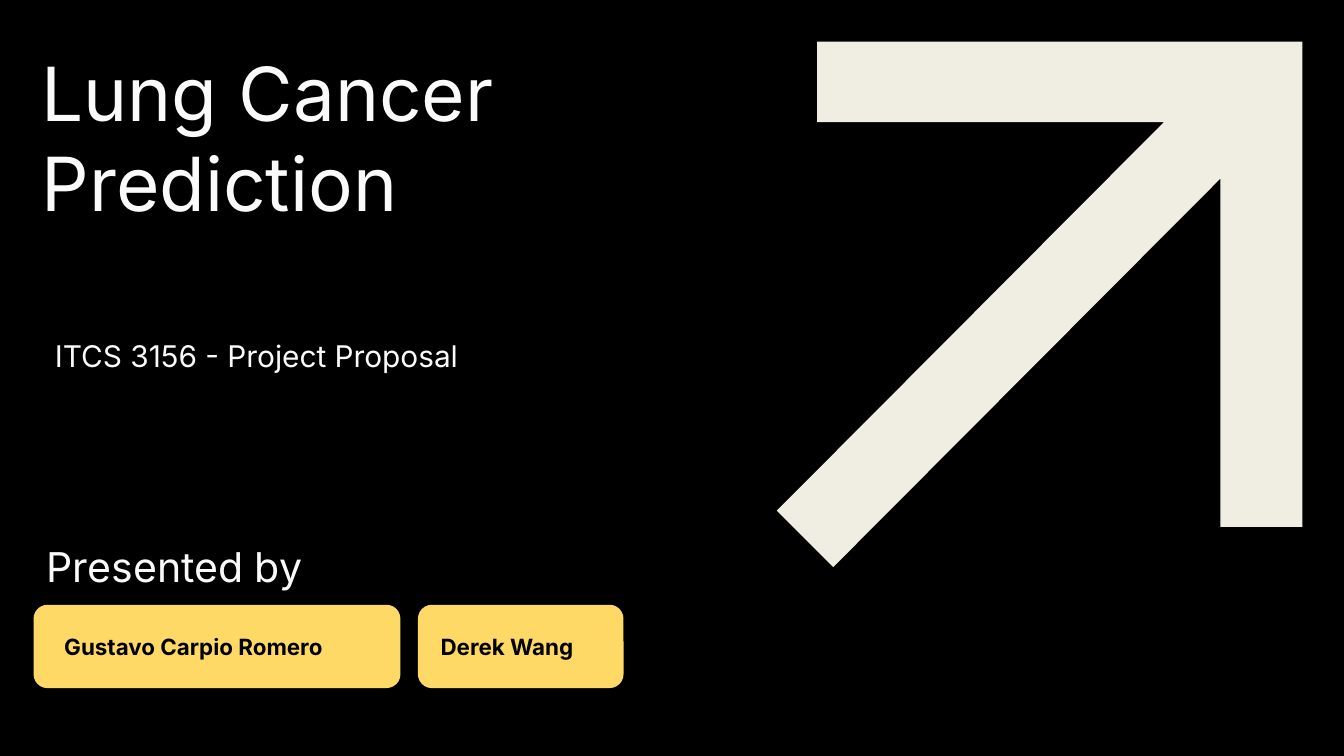
from dataclasses import dataclass

from pptx import Presentation
from pptx.dml.color import RGBColor
from pptx.enum.shapes import MSO_SHAPE
from pptx.enum.text import MSO_ANCHOR, MSO_AUTO_SIZE, PP_ALIGN
from pptx.util import Inches, Pt

ROUNDED = MSO_SHAPE.ROUNDED_RECTANGLE
TOP = MSO_ANCHOR.TOP
LEFT = PP_ALIGN.LEFT
NO_FIT = MSO_AUTO_SIZE.NONE
TITLE_ONLY = 5


@dataclass(frozen=True)
class Theme:
    """Colours, font and type sizes of the deck."""

    background: str = "000000"
    light: str = "FAFAFA"
    dark: str = "000000"
    arrow: str = "F0EEE2"
    badge: str = "FFD966"
    font: str = "Inter"
    title: int = 40
    heading: int = 22
    body: int = 16
    name: int = 12


THEME = Theme()
ARROW_POINTS = [
    (6.08, 0.31), (6.08, 0.91), (8.66, 0.91), (5.78, 3.8), (6.2, 4.22),
    (9.08, 1.33), (9.08, 3.92), (9.69, 3.92), (9.69, 0.31),
]
BADGES = [
    ("Gustavo Carpio Romero", 0.25, 2.73, 0.13),
    ("Derek Wang", 3.11, 1.53, 0.07),
]


def set_values(target, values):
    """Set each named attribute of the target."""
    for name, value in values.items():
        setattr(target, name, value)


def place(shape, left, top, width, height):
    """Move and size a shape, in inches."""
    bounds = {"left": left, "top": top, "width": width, "height": height}
    set_values(shape, {name: Inches(value) for name, value in bounds.items()})


def paint(shape, color):
    """Give a shape a plain fill without line or shadow."""
    shape.fill.solid()
    shape.fill.fore_color.rgb = RGBColor.from_string(color)
    shape.line.fill.background()
    shape.shadow.inherit = False


def write(box, lines, size, color=THEME.light, bold=False, inset=0.1):
    """Fill a box with one paragraph per line."""
    frame = box.text_frame
    set_values(frame, {
        "word_wrap": True, "auto_size": NO_FIT, "vertical_anchor": TOP,
        "margin_left": Inches(inset), "margin_right": Inches(0.1),
        "margin_top": Inches(0.1), "margin_bottom": Inches(0.1),
    })
    frame.text = "\n".join(lines)
    for para in frame.paragraphs:
        set_values(para, {
            "alignment": LEFT, "line_spacing": 1.0,
            "space_before": Pt(0), "space_after": Pt(0),
        })
        for span in para.runs:
            set_values(span.font, {"name": THEME.font, "size": Pt(size), "bold": bold})
            span.font.color.rgb = RGBColor.from_string(color)


def add_title(page, lines):
    """Format the title placeholder at the upper left."""
    place(page.shapes.title, 0.31, 0.25, 8.24, 2.07)
    write(page.shapes.title, lines, THEME.title, inset=0)


def add_text(page, text, bounds, size, **style):
    """Add a text box with a single line."""
    box = page.shapes.add_textbox(*map(Inches, bounds))
    write(box, [text], size, **style)


def add_arrow(page):
    """Draw the large diagonal arrow."""
    points = [(Inches(x), Inches(y)) for x, y in ARROW_POINTS]
    builder = page.shapes.build_freeform(*points[0])
    builder.add_line_segments(points[1:], close=True)
    paint(builder.convert_to_shape(), THEME.arrow)


def add_badge(page, name, left, width, padding):
    """Add a rounded plate with a presenter's name on it."""
    plate = page.shapes.add_shape(ROUNDED, *map(Inches, (left, 4.5, width, 0.62)))
    plate.adjustments[0] = 0.167
    paint(plate, THEME.badge)
    bounds = (left + padding, 4.61, width - 2 * padding, 0.44)
    add_text(page, name, bounds, THEME.name, color=THEME.dark, bold=True)


def main():
    """Build the opening slide and save the deck."""
    deck = Presentation()
    set_values(deck, {"slide_width": Inches(10), "slide_height": Inches(10 * 9 / 16)})
    page = deck.slides.add_slide(deck.slide_layouts[TITLE_ONLY])
    page.background.fill.solid()
    page.background.fill.fore_color.rgb = RGBColor.from_string(THEME.background)
    add_arrow(page)
    add_title(page, ["Lung Cancer", "Prediction"])
    add_text(page, "Presented by", (0.25, 3.93, 5.1, 0.44), THEME.heading)
    for badge in BADGES:
        add_badge(page, *badge)
    add_text(page, "ITCS 3156 - Project Proposal", (0.31, 2.41, 5.53, 0.47), THEME.body)
    deck.save("out.pptx")


if __name__ == "__main__":
    main()
